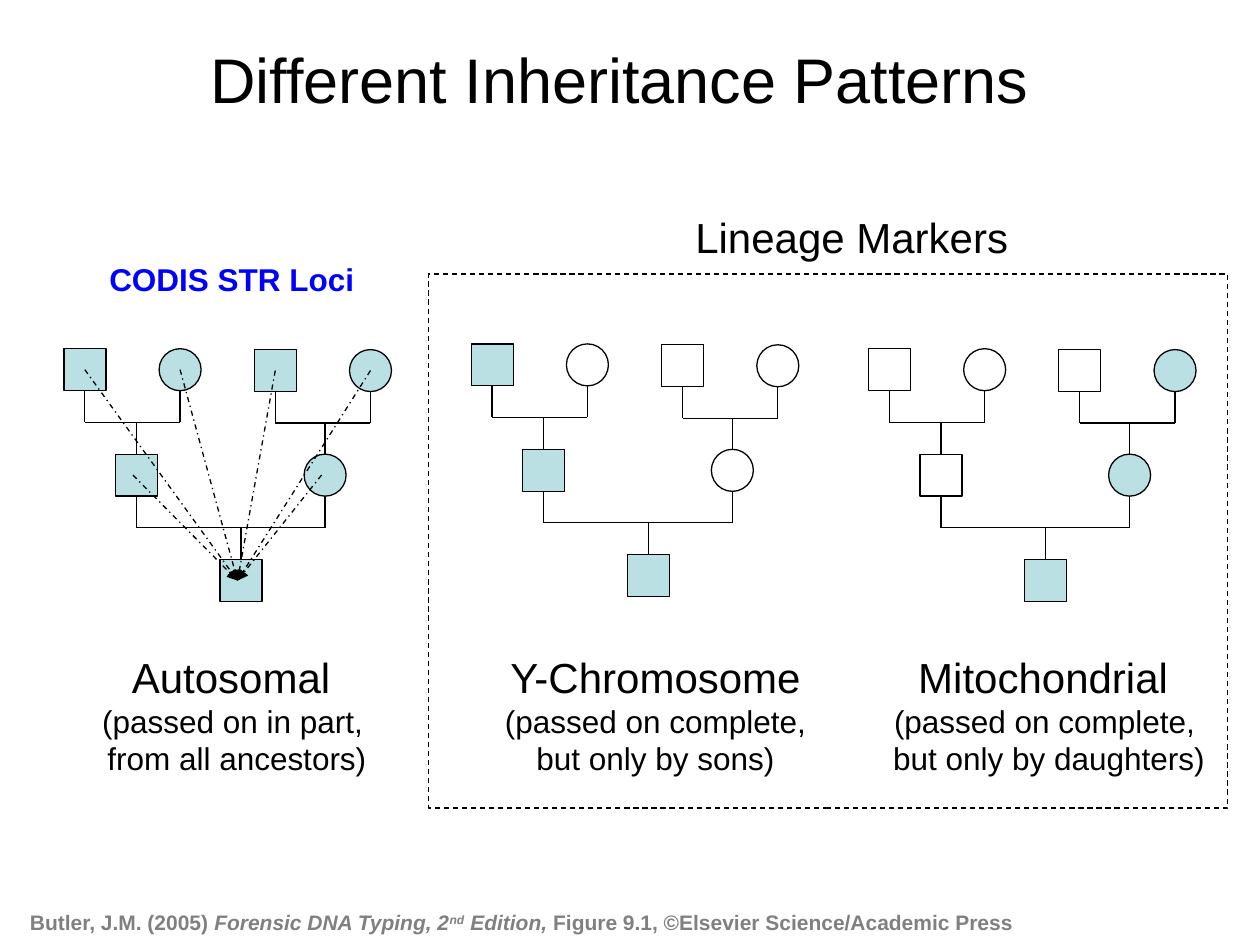
import pptx
import pptx.dml.color
import pptx.enum.dml
import pptx.enum.shapes
import pptx.enum.text
import pptx.oxml
import pptx.util

Pt = pptx.util.Pt
RGBColor = pptx.dml.color.RGBColor
SHAPE = pptx.enum.shapes.MSO_SHAPE
DASH = pptx.enum.dml.MSO_LINE
ALIGN = pptx.enum.text.PP_ALIGN
ANCHOR = pptx.enum.text.MSO_ANCHOR
AUTO_SIZE = pptx.enum.text.MSO_AUTO_SIZE

BLACK = RGBColor(0x00, 0x00, 0x00)
BLUE = RGBColor(0x00, 0x00, 0xFF)
GRAY = RGBColor(0x80, 0x80, 0x80)
SHADED = RGBColor(0xBB, 0xE0, 0xE3)

SYMBOL = 24
HALF = SYMBOL / 2
STEM = 18
# Offset of each relative from the pedigree's top left corner, and whether male
FAMILY = {
    "paternal grandfather": (0, 0, True),
    "paternal grandmother": (54.4, 0, False),
    "maternal grandfather": (108.8, 0.5, True),
    "maternal grandmother": (163.2, 0.5, False),
    "father": (29.5, 60.25, True),
    "mother": (137.25, 60.25, False),
    "child": (89.25, 120.5, True),
}
COUPLES = [
    ("paternal grandfather", "paternal grandmother", "father"),
    ("maternal grandfather", "maternal grandmother", "mother"),
    ("father", "mother", "child"),
]


def format_outline(line, dash=None):
    line.color.rgb = BLACK
    line.width = Pt(0.75)
    if dash is not None:
        line.dash_style = dash


def add_outlined_shape(shapes, kind, left, top, width, height, fill=None, dash=None):
    shape = shapes.add_shape(kind, Pt(left), Pt(top), Pt(width), Pt(height))
    shape.shadow.inherit = False
    if fill is None:
        shape.fill.background()
    else:
        shape.fill.solid()
        shape.fill.fore_color.rgb = fill
    format_outline(shape.line, dash)
    return shape


def add_line(shapes, start, end, dash=None, arrow=False):
    line = shapes.add_connector(
        pptx.enum.shapes.MSO_CONNECTOR.STRAIGHT,
        Pt(start[0]), Pt(start[1]), Pt(end[0]), Pt(end[1]))
    format_outline(line.line, dash)
    if arrow:
        outline = line.line._get_or_add_ln()
        outline.append(pptx.oxml.parse_xml(
            '<a:tailEnd xmlns:a="http://schemas.openxmlformats.org/drawingml/2006/main"'
            ' type="triangle"/>'))
    line._element.spPr.append(pptx.oxml.parse_xml(
        '<a:effectLst xmlns:a="http://schemas.openxmlformats.org/drawingml/2006/main"/>'))
    return line


def write_paragraph(para, text, size=18, color=BLACK, bold=False, align=ALIGN.LEFT):
    """Write text, given as a string or as (text, italic, baseline) spans."""
    para.alignment = align
    spans = [(text, False, 0)] if isinstance(text, str) else text
    for words, italic, baseline in spans:
        span = para.add_run()
        span.text = words
        font = span.font
        font.name = "Arial"
        font.size = Pt(size)
        font.bold = bold
        font.italic = italic
        font.color.rgb = color
        if baseline:
            font._element.set("baseline", str(baseline))


def add_text_box(slide, left, top, width, height):
    box = slide.shapes.add_textbox(Pt(left), Pt(top), Pt(width), Pt(height))
    frame = box.text_frame
    frame.word_wrap = True
    frame.auto_size = AUTO_SIZE.SHAPE_TO_FIT_TEXT
    return frame


def add_label(slide, text, left, top, width, height, **text_format):
    frame = add_text_box(slide, left, top, width, height)
    write_paragraph(frame.paragraphs[0], text, **text_format)


def add_caption(slide, heading, details, left, width):
    frame = add_text_box(slide, left, 368.64, width, 79.2)
    write_paragraph(frame.paragraphs[0], heading, size=24, align=ALIGN.CENTER)
    for detail in details:
        write_paragraph(frame.add_paragraph(), detail, align=ALIGN.CENTER)


def add_pedigree(slide, left, top, shaded):
    """Draw three generations and return the centre of each relative."""
    shapes = slide.shapes.add_group_shape().shapes
    symbols, centers = {}, {}
    for name, (x, y, male) in FAMILY.items():
        symbols[name] = add_outlined_shape(
            shapes, SHAPE.RECTANGLE if male else SHAPE.OVAL, left + x, top + y,
            SYMBOL, SYMBOL, fill=SHADED if name in shaded else None)
        centers[name] = (left + x + HALF, top + y + HALF)

    for man, woman, offspring in COUPLES:
        man_x, man_y = centers[man]
        woman_x, woman_y = centers[woman]
        child_x, child_y = centers[offspring]
        bar = man_y + HALF + STEM
        stem = add_line(shapes, (man_x, man_y + HALF), (man_x, bar))
        stem.begin_connect(symbols[man], 2)
        add_line(shapes, (woman_x, woman_y + HALF), (woman_x, bar))
        add_line(shapes, (man_x, bar), (woman_x, bar))
        descent = add_line(shapes, (child_x, bar), (child_x, child_y - HALF))
        descent.end_connect(symbols[offspring], 0)
    return centers


def add_inheritance_arrows(slide, centers):
    """Point from every ancestor to the child, just left of its centre."""
    shapes = slide.shapes.add_group_shape().shapes
    child_x, child_y = centers["child"]
    for name, (x, y) in centers.items():
        if name != "child":
            start_x = x - 2 if name in ("father", "mother") else x
            add_line(shapes, (start_x, y), (child_x - 2, child_y),
                     dash=DASH.DASH_DOT, arrow=True)


def add_title(slide, text):
    title = slide.shapes.title
    title.left, title.top, title.width, title.height = Pt(48), Pt(12), Pt(612), Pt(66)
    title.text_frame.vertical_anchor = ANCHOR.MIDDLE
    write_paragraph(title.text_frame.paragraphs[0], text, size=36, align=ALIGN.CENTER)


def main():
    deck = pptx.Presentation()
    deck.slide_width, deck.slide_height = Pt(720), Pt(540)
    slide = deck.slides.add_slide(deck.slide_layouts[5])
    add_title(slide, "Different Inheritance Patterns")

    autosomal = add_pedigree(slide, 36.5, 199.25, FAMILY)
    add_pedigree(slide, 269.25, 196.5, ("paternal grandfather", "father", "child"))
    add_pedigree(slide, 496.25, 199.25, ("maternal grandmother", "mother", "child"))
    add_inheritance_arrows(slide, autosomal)

    add_caption(slide, "Autosomal ", ["(passed on in part, ", "from all ancestors)"],
                24.5, 221.75)
    add_caption(slide, "Y-Chromosome", ["(passed on complete, but only by sons)"],
                267.25, 214.6)
    add_caption(slide, "Mitochondrial ",
                ["(passed on complete, ", "but only by daughters)"], 497.4, 204)

    add_outlined_shape(slide.shapes, SHAPE.RECTANGLE, 245, 156.5, 456.5, 305.25,
                       dash=DASH.DASH)
    add_label(slide, "Lineage Markers", 390.25, 117.5, 200, 36, size=24)
    add_label(slide, "CODIS STR Loci", 55.4, 145.25, 164, 28.8, color=BLUE, bold=True)
    add_label(slide, [
        ("Butler, J.M. (2005)", False, 0),
        (" Forensic DNA Typing, 2", True, 0),
        ("nd", True, 30000),
        (" Edition,", True, 0),
        (" Figure 9.1, ©Elsevier Science/Academic Press", False, 0),
    ], 10, 516.25, 625.7, 21.6, size=12, color=GRAY, bold=True)

    deck.save("out.pptx")


if __name__ == "__main__":
    main()
